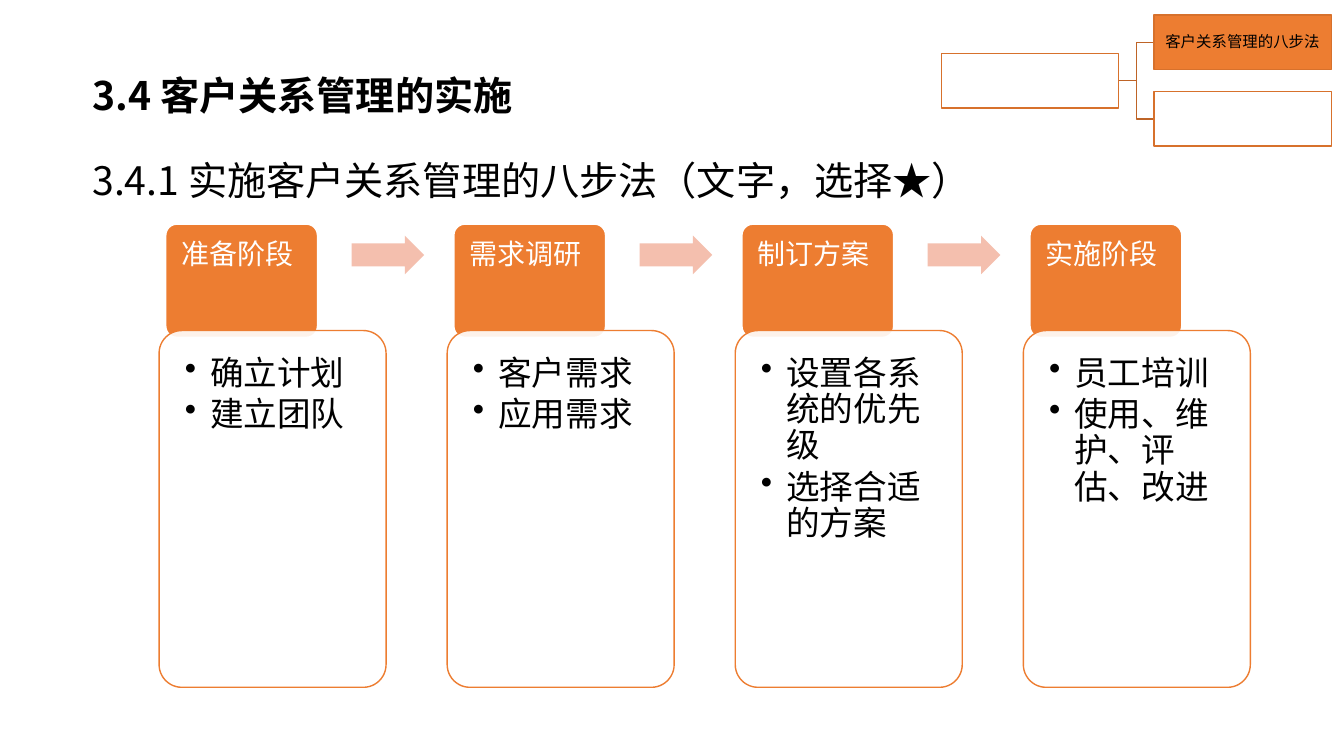
"""Build the slide on the eight-step method of customer relationship management."""
from dataclasses import dataclass

from lxml.etree import SubElement
from pptx import Presentation
from pptx.dml.color import RGBColor
from pptx.enum.shapes import MSO_SHAPE
from pptx.enum.text import MSO_ANCHOR, PP_ALIGN
from pptx.oxml.ns import qn
from pptx.util import Cm, Pt


@dataclass(frozen=True)
class Theme:
    orange: RGBColor = RGBColor(0xED, 0x7D, 0x31)
    box_line: RGBColor = RGBColor(0xD7, 0x71, 0x2C)
    branch_line: RGBColor = RGBColor(0xBE, 0x64, 0x27)
    arrow: RGBColor = RGBColor(0xF4, 0xBF, 0xAE)
    white: RGBColor = RGBColor(0xFF, 0xFF, 0xFF)
    black: RGBColor = RGBColor(0x00, 0x00, 0x00)
    heading_font: str = "Noto Sans CJK SC"
    card_font: str = "Noto Sans CJK JP"
    heading_size: Pt = Pt(28)
    body_size: Pt = Pt(24)
    stage_size: Pt = Pt(20)
    tree_size: Pt = Pt(11)


theme = Theme()


def write_text(shape, text, *, size, font, color=theme.black, bold=False, spacing=0.9,
               space_after=0, insets=(0.3, 0.15), anchor=MSO_ANCHOR.TOP,
               align=PP_ALIGN.LEFT, bullet=False):
    frame = shape.text_frame
    frame.word_wrap = True
    frame.vertical_anchor = anchor
    frame.margin_left = frame.margin_right = Cm(insets[0])
    frame.margin_top = frame.margin_bottom = Cm(insets[1])
    frame.text = text
    for paragraph in frame.paragraphs:
        if bullet:
            properties = paragraph._p.get_or_add_pPr()
            properties.set("marL", str(Cm(0.64)))
            properties.set("indent", str(-Cm(0.64)))
            properties.set("hangingPunct", "0")
            SubElement(properties, qn("a:buChar"), char="•")
        paragraph.alignment = align
        paragraph.line_spacing = spacing
        paragraph.space_after = Pt(space_after)
        for run in paragraph.runs:
            run.font.size = size
            run.font.bold = bold
            run.font.color.rgb = color
            run.font.name = font
            SubElement(run._r.get_or_add_rPr(), qn("a:ea"), typeface=font)


def add_box(kind, left, top, width, height, fill, line=None, line_width=1):
    shape = slide.shapes.add_shape(kind, Cm(left), Cm(top), Cm(width), Cm(height))
    shape.shadow.inherit = False
    shape.fill.solid()
    shape.fill.fore_color.rgb = fill
    if line is None:
        shape.line.fill.background()
    else:
        shape.line.color.rgb = line
        shape.line.width = Pt(line_width)
    return shape


presentation = Presentation()
presentation.slide_width = Cm(33.87)
presentation.slide_height = Cm(19.05)
slide = presentation.slides.add_slide(presentation.slide_layouts[6])

title = slide.shapes.add_textbox(Cm(2.03), Cm(1.65), Cm(29.08), Cm(1.5))
write_text(title, "3.4 客户关系管理的实施", size=theme.heading_size,
           font=theme.heading_font, bold=True, spacing=1.0)

stages = [
    ("准备阶段", ["确立计划", "建立团队"]),
    ("需求调研", ["客户需求", "应用需求"]),
    ("制订方案", ["设置各系统的优先级", "选择合适的方案"]),
    ("实施阶段", ["员工培训", "使用、维护、评估、改进"]),
]
stage_pitch = 7.26
for index, (stage, tasks) in enumerate(stages):
    offset = index * stage_pitch
    header = add_box(MSO_SHAPE.ROUNDED_RECTANGLE, 4.17 + offset, 5.64, 3.84, 2.87,
                     theme.orange, theme.white, 1.5)
    header.adjustments[0] = 0.1
    write_text(header, stage, size=theme.stage_size, font=theme.card_font,
               color=theme.white, insets=(0.32, 0.32))

    card = add_box(MSO_SHAPE.ROUNDED_RECTANGLE, 4.01 + offset, 8.33, 5.72, 8.99,
                   theme.white, theme.orange)
    card.adjustments[0] = 0.1
    card_color = card._element.spPr.find(qn("a:solidFill"))[0]
    SubElement(card_color, qn("a:alpha"), val="90000")
    write_text(card, "\n".join(tasks), size=theme.body_size, font=theme.card_font,
               space_after=3.6, insets=(0.48, 0.48), bullet=True)

    if index < len(stages) - 1:
        arrow = add_box(MSO_SHAPE.RIGHT_ARROW, 8.86 + offset, 5.94, 1.83, 0.97, theme.arrow)
        arrow.adjustments[0] = 0.6
        arrow.adjustments[1] = 0.5

box_width, box_height = 4.47, 1.37
root_left, root_top = 23.72, 1.35
child_left = 29.08
root_right = root_left + box_width
root_middle = root_top + box_height / 2
bend = (root_right + child_left) / 2
add_box(MSO_SHAPE.RECTANGLE, root_left, root_top, box_width, box_height,
        theme.white, theme.box_line)
for child_top, fill, label in [(0.38, theme.orange, "客户关系管理的八步法"),
                               (2.31, theme.white, "")]:
    child_middle = child_top + box_height / 2
    builder = slide.shapes.build_freeform(Cm(root_right), Cm(root_middle))
    builder.add_line_segments([(Cm(bend), Cm(root_middle)), (Cm(bend), Cm(child_middle)),
                               (Cm(child_left), Cm(child_middle))], close=False)
    branch = builder.convert_to_shape()
    branch.shadow.inherit = False
    branch.fill.background()
    branch.line.color.rgb = theme.branch_line
    branch.line.width = Pt(1)
    child = add_box(MSO_SHAPE.RECTANGLE, child_left, child_top, box_width, box_height,
                    fill, theme.box_line)
    if label:
        write_text(child, label, size=theme.tree_size, font=theme.heading_font,
                   insets=(0.02, 0.02), anchor=MSO_ANCHOR.MIDDLE, align=PP_ALIGN.CENTER)

subtitle = slide.shapes.add_textbox(Cm(2.03), Cm(2.92), Cm(30.89), Cm(2.64))
write_text(subtitle, "3.4.1 实施客户关系管理的八步法（文字，选择★）", size=theme.heading_size,
           font=theme.heading_font, spacing=1.5, anchor=MSO_ANCHOR.MIDDLE)

presentation.save("out.pptx")
